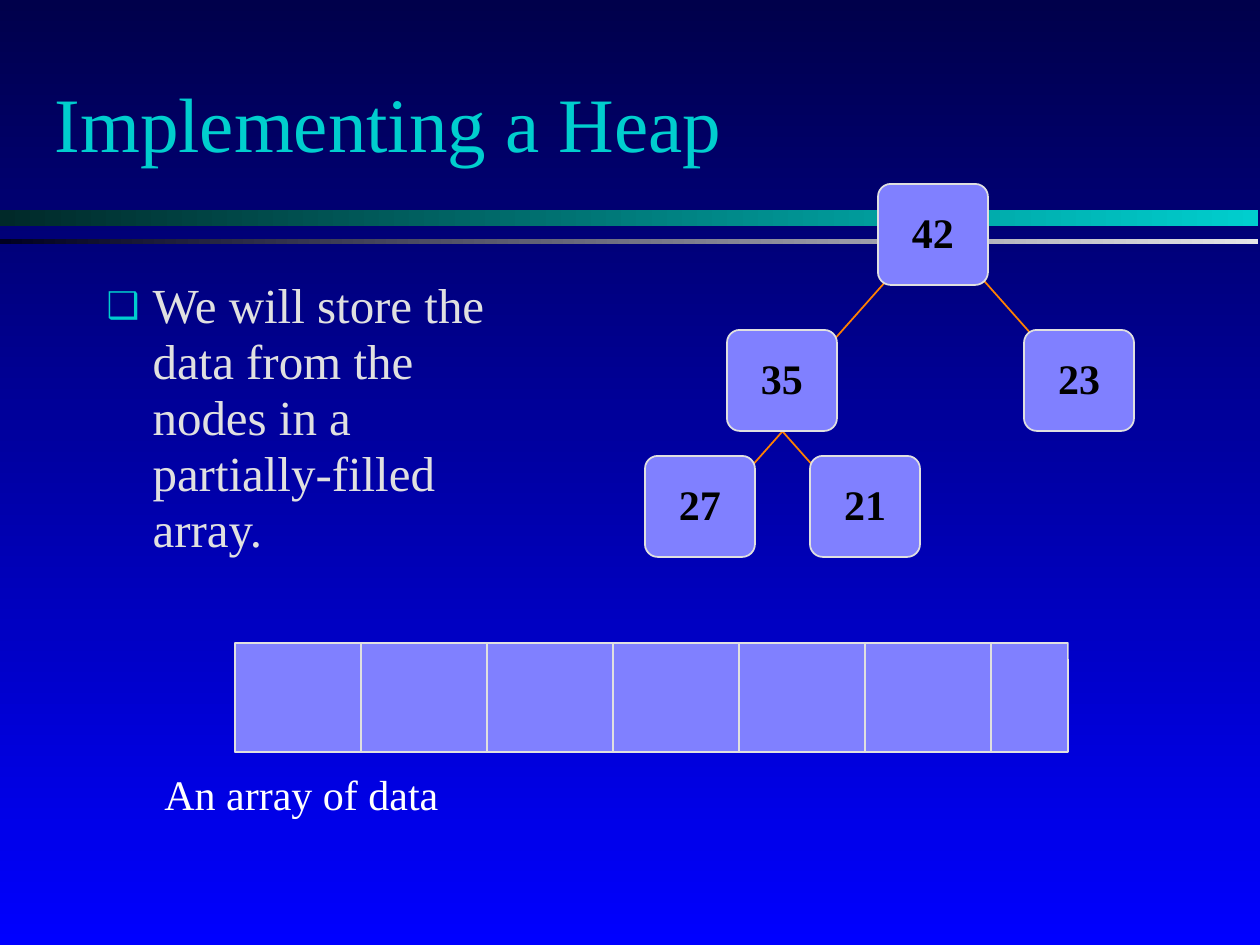
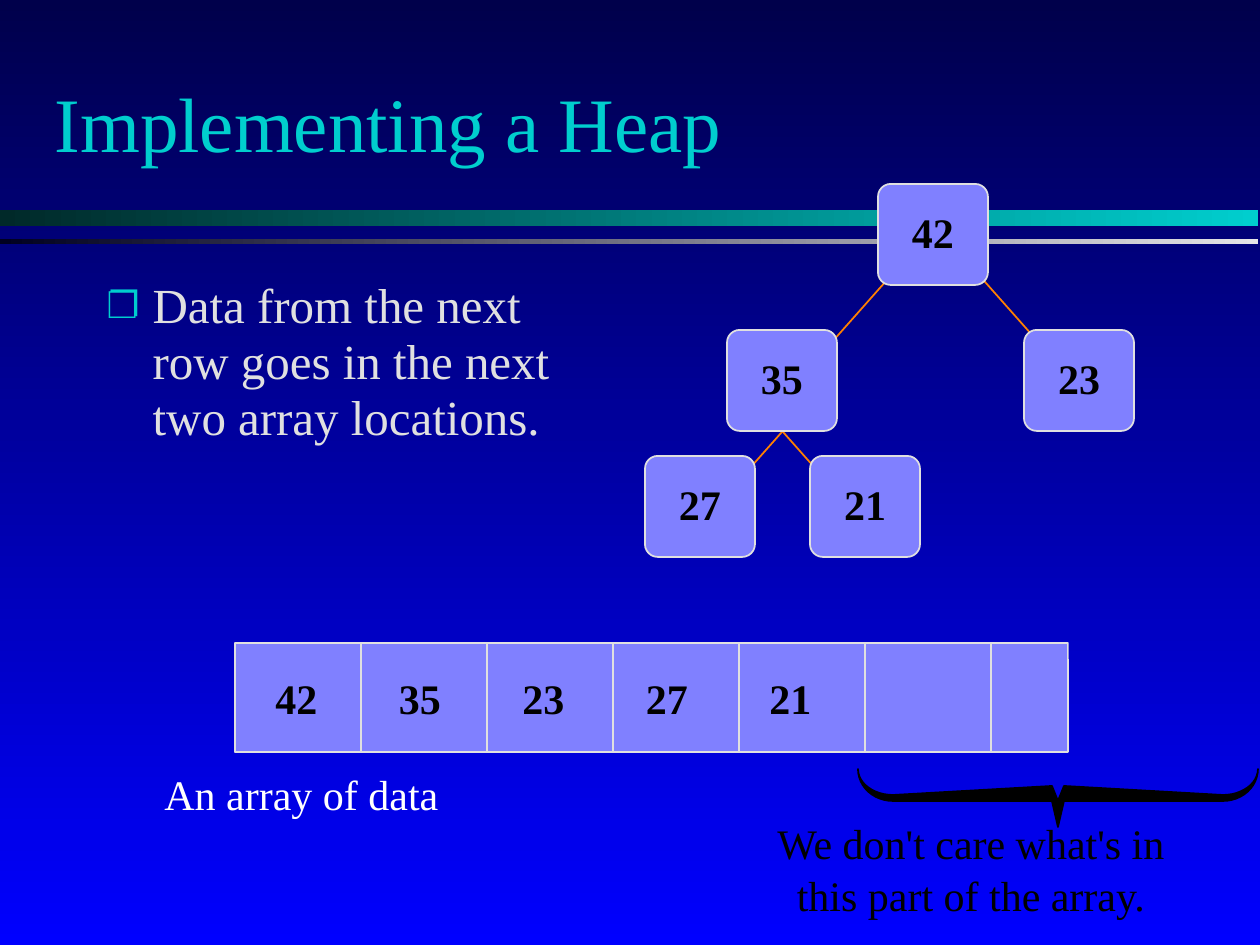
from math import cos, pi, sin

from lxml.etree import SubElement
from pptx import Presentation
from pptx.dml.color import RGBColor
from pptx.enum.shapes import MSO_CONNECTOR as Connector, MSO_SHAPE as Preset
from pptx.enum.text import MSO_ANCHOR as Anchor, MSO_AUTO_SIZE as AutoSize, PP_ALIGN as Align
from pptx.oxml.ns import qn
from pptx.util import Emu, Pt

EMU_PER_PIXEL = 914400 / 126

NIGHT, BLUE = RGBColor(0x00, 0x00, 0x4B), RGBColor(0x00, 0x00, 0xFF)
TEAL, DARK_TEAL = RGBColor(0x00, 0xCE, 0xCE), RGBColor(0x00, 0x29, 0x29)
SILVER, INK = RGBColor(0xE4, 0xE4, 0xE7), RGBColor(0x00, 0x00, 0x20)
LAVENDER, PALE = RGBColor(0x80, 0x80, 0xFF), RGBColor(0xE0, 0xE0, 0xE0)
ORANGE = RGBColor(0xFF, 0x80, 0x00)
WHITE, BLACK = RGBColor(0xFF, 0xFF, 0xFF), RGBColor(0x00, 0x00, 0x00)

FACE = "Times New Roman"
TITLE_FONT = {"name": FACE, "size": Pt(44), "color": TEAL}
BODY_FONT = {"name": FACE, "size": Pt(28), "color": PALE}
VALUE_FONT = {"name": FACE, "size": Pt(24), "bold": True, "color": BLACK}
CAPTION_FONT = {"name": FACE, "size": Pt(24), "color": WHITE}
REMARK_FONT = CAPTION_FONT | {"color": BLACK}

TITLE_BOX = (42, 47, 1071, 158)
TREE_BOX = (645, 184, 489, 373)
ARRAY_BOX = (235, 643, 833, 109)
CAPTION_BOX = (152, 767, 299, 59)
BRACE_BOX = (858, 769, 400, 58)
REMARK_BOX = (706, 816, 530, 110)

NODE_SIZE = (110, 101)
EDGE_RUN, EDGE_RISE = 78, 88
# value, offset in the tree, end of its edge in the node, side of its parent
NODES = [
    ("21", (165, 272), (28, 38), -1),
    ("27", (0, 272), (82, 38), 1),
    ("23", (379, 146), (32, 32), -1),
    ("35", (82, 146), (82, 38), 1),
    ("42", (233, 0), None, 0),
]
CELL_WIDTH, DIVIDERS = 126, 6


def px(*lengths):
    """Turn pixels into a list of EMU."""
    return [Emu(round(length * EMU_PER_PIXEL)) for length in lengths]


def write(frame, lines, font, align=Align.LEFT, spacing=0.95):
    """Write one paragraph a line, in one format."""
    frame.text = "\n".join(lines)
    for paragraph in frame.paragraphs:
        paragraph.alignment, paragraph.line_spacing = align, spacing
        for key, value in font.items():
            if key == "color":
                paragraph.font.color.rgb = value
            else:
                setattr(paragraph.font, key, value)


def shade(fill, colors, angle):
    """Fill with a gradient between two colours."""
    fill.gradient()
    fill.gradient_angle = angle
    for stop, color in zip(fill.gradient_stops, colors):
        stop.color.rgb = color


def add_panel(slide, box, rounding):
    """Add a lavender panel with a pale outline."""
    panel = slide.shapes.add_shape(Preset.ROUNDED_RECTANGLE, *px(*box))
    panel.adjustments[0] = rounding
    panel.shadow.inherit = False
    panel.fill.solid()
    panel.fill.fore_color.rgb = LAVENDER
    panel.line.color.rgb, panel.line.width = PALE, Pt(1)
    return panel


def add_line(slide, start, end, color):
    """Add a thin straight line without a shadow."""
    line = slide.shapes.add_connector(Connector.STRAIGHT, *px(*start, *end))
    line.line.color.rgb, line.line.width = color, Pt(1)
    SubElement(line.element.spPr, qn("a:effectLst"))


def add_label(slide, box, lines, font, wrap=False, **layout):
    """Add a text box."""
    frame = slide.shapes.add_textbox(*px(*box)).text_frame
    frame.word_wrap = wrap
    write(frame, lines, font, **layout)
    return frame


def add_bands(slide, layout):
    """Draw the two bands under the title and move them to the layout."""
    bands = [((0, 210, 1258, 16), (TEAL, DARK_TEAL)),
             ((0, 239, 1258, 5), (SILVER, INK))]
    for position, (box, colors) in enumerate(bands, start=2):
        band = slide.shapes.add_shape(Preset.RECTANGLE, *px(*box))
        band.shadow.inherit = False
        shade(band.fill, colors, 180)
        band.line.fill.background()
        layout.shapes.element.insert(position, band.element)


def fill_placeholder(holder, box, text, font, anchor):
    """Move a placeholder and write its text."""
    holder.left, holder.top, holder.width, holder.height = px(*box)
    frame = holder.text_frame
    frame.auto_size, frame.vertical_anchor = AutoSize.NONE, anchor
    write(frame, [text], font)
    return frame.paragraphs[0]


def add_point(slide, box, text, bullet):
    """Fill the body with one point behind a teal bullet."""
    point = fill_placeholder(slide.placeholders[1], box, text, BODY_FONT, Anchor.TOP)
    point.space_before = Pt(7)
    indent = px(46)[0]
    props = point._p.get_or_add_pPr()
    props.set("marL", str(indent))
    props.set("indent", str(-indent))
    SubElement(SubElement(props, qn("a:buClr")), qn("a:srgbClr"), val=str(TEAL))
    SubElement(props, qn("a:buSzPct"), val="75000")
    SubElement(props, qn("a:buChar"), char=bullet)


def add_tree(slide, box):
    """Draw the heap, every edge below the nodes it joins."""
    left, top = box[:2]
    for value, (dx, dy), joint, side in NODES:
        x, y = left + dx, top + dy
        if joint:
            end = (x + joint[0], y + joint[1])
            start = (end[0] + side * EDGE_RUN, end[1] - EDGE_RISE)
            add_line(slide, start, end, ORANGE)
        frame = add_panel(slide, (x, y, *NODE_SIZE), 0.126).text_frame
        frame.vertical_anchor = Anchor.MIDDLE
        write(frame, [value], VALUE_FONT, Align.CENTER)


def add_array(slide, box, values):
    """Draw the array, its dividers and the values stored so far."""
    left, top, _, height = box
    add_panel(slide, box, 0.002)
    for number in range(1, DIVIDERS + 1):
        x = left + number * CELL_WIDTH
        add_line(slide, (x, top), (x, top + height), PALE)
    for index, value in enumerate(values):
        add_label(slide, (left + 28 + 123.5 * index, top + 27, 67, 60), [value], VALUE_FONT)


def add_brace(slide, box):
    """Draw a brace that points down: a right half and its mirror."""
    left, top, width, height = box
    half, bend, steps = width / 2, 35, 12
    outer, inner = 32, 26
    angles = [pi / 2 * step / steps for step in range(steps + 1)]

    def arc(depth):
        return [(half - bend + bend * sin(a), depth * cos(a)) for a in angles]

    right = [(0, height), (6, outer), *arc(outer), *reversed(arc(inner)), (6, 17), (0, outer)]
    outline = right + [(-x, y) for x, y in reversed(right[1:-1])]
    points = [px(left + half + x, top + y) for x, y in outline]
    builder = slide.shapes.build_freeform(*points[0])
    builder.add_line_segments(points[1:])
    brace = builder.convert_to_shape()
    brace.shadow.inherit = False
    brace.fill.solid()
    brace.fill.fore_color.rgb = BLACK
    brace.line.color.rgb, brace.line.width = BLACK, Pt(1)


def add_heap_slide(deck, layout, text, bullet, body_width, values=()):
    """Add a slide with one point, the heap and its array."""
    slide = deck.slides.add_slide(layout)
    fill_placeholder(slide.shapes.title, TITLE_BOX, "Implementing a Heap", TITLE_FONT, Anchor.MIDDLE)
    add_point(slide, (94, 273, body_width, 567), text, bullet)
    add_array(slide, ARRAY_BOX, values)
    add_label(slide, CAPTION_BOX, ["An array of data"], CAPTION_FONT, spacing=0.93)
    add_tree(slide, TREE_BOX)
    return slide


def add_remark(slide):
    """Mark the unused end of the array."""
    add_brace(slide, BRACE_BOX)
    remark = add_label(slide, REMARK_BOX, ["We don't care what's in", "this part of the array."],
                       REMARK_FONT, wrap=True, align=Align.CENTER, spacing=0.93)
    remark.paragraphs[1].line_spacing = 1.0


def main():
    """Build and save the deck."""
    deck = Presentation()
    deck.slide_width, deck.slide_height = px(1260, 945)
    layout = deck.slide_layouts[1]
    shade(layout.background.fill, (NIGHT, BLUE), 270)
    storing = add_heap_slide(
        deck, layout, "We will store the data from the nodes in a partially-filled array.",
        "\u2751", 451)
    add_bands(storing, layout)
    next_row = add_heap_slide(
        deck, layout, "Data from the next row goes in the next two array locations.",
        "\u2750", 469, ["42", "35", "23", "27", "21"])
    add_remark(next_row)
    deck.save("out.pptx")


main()
